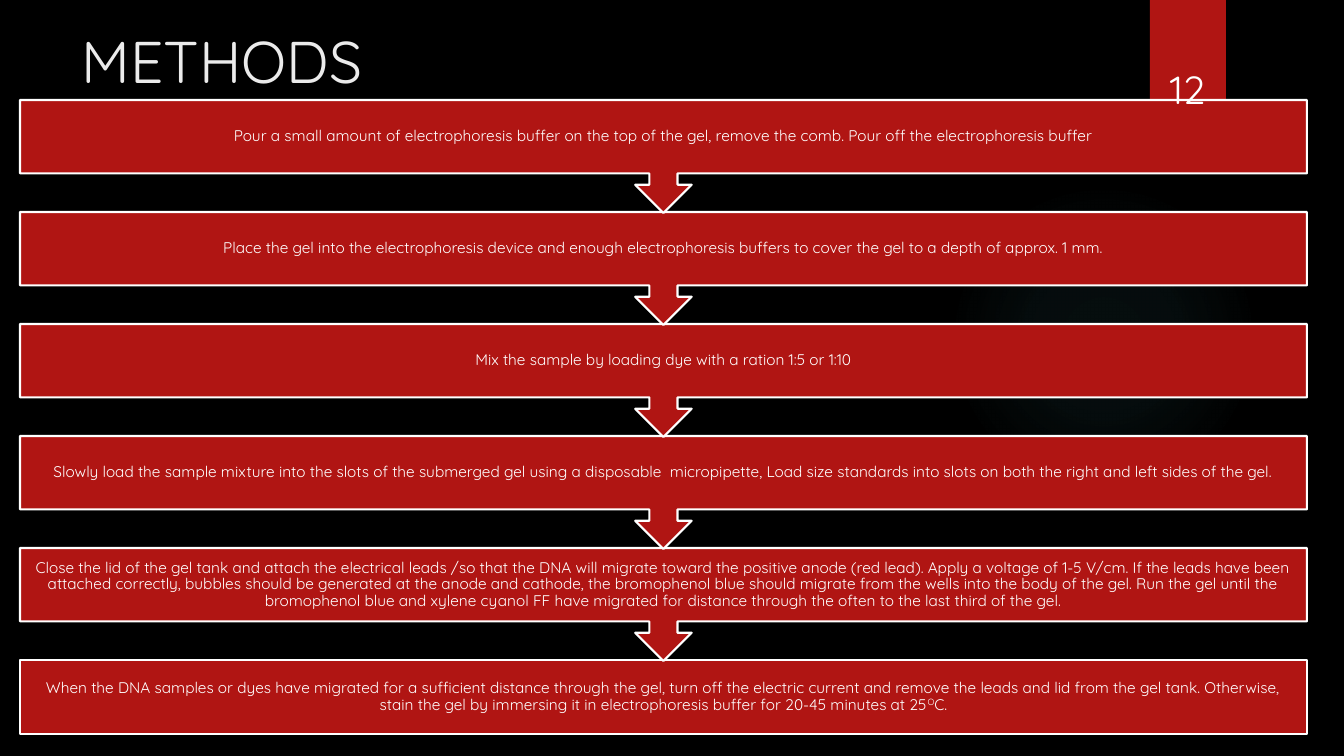
from pptx import Presentation
from pptx.dml.color import RGBColor
from pptx.enum.shapes import MSO_SHAPE
from pptx.enum.text import MSO_ANCHOR, PP_ALIGN
from pptx.oxml import parse_xml
from pptx.util import Emu, Pt

OVAL, RECT, CALLOUT = MSO_SHAPE.OVAL, MSO_SHAPE.RECTANGLE, MSO_SHAPE.DOWN_ARROW_CALLOUT
TOP, MIDDLE, BOTTOM = MSO_ANCHOR.TOP, MSO_ANCHOR.MIDDLE, MSO_ANCHOR.BOTTOM
LEFT, CENTER = PP_ALIGN.LEFT, PP_ALIGN.CENTER

BLACK = RGBColor(0x00, 0x00, 0x00)
RED = RGBColor(0xB0, 0x15, 0x13)
WHITE = RGBColor(0xFF, 0xFF, 0xFF)
PALE = RGBColor(0xEB, 0xEB, 0xEB)
GLOW = RGBColor(0x50, 0xB9, 0xC1)
FONT = "Quicksand"
EMU_PER_PX = 914400 / 100.8

STEPS = [
    ["Pour a small amount of electrophoresis buffer on the top of the gel, remove the comb. "
     "Pour off the electrophoresis buffer"],
    ["Place the gel into the electrophoresis device and enough electrophoresis buffers "
     "to cover the gel to a depth of approx. 1 mm."],
    ["Mix the sample by loading dye with a ration 1:5 or 1:10"],
    ["Slowly load the sample mixture into the slots of the submerged gel using a disposable  "
     "micropipette, Load size standards into slots on both the right and left sides of the gel."],
    ["Close the lid of the gel tank and attach the electrical leads /so that the DNA will migrate "
     "toward the positive anode (red lead). Apply a voltage of 1-5 V/cm. If the leads have been "
     "attached correctly, bubbles should be generated at the anode and cathode, the bromophenol "
     "blue should migrate from the wells into the body of the gel. Run the gel until the "
     "bromophenol blue and xylene cyanol FF have migrated for distance through the often to the "
     "last third of the gel."],
    ["When the DNA samples or dyes have migrated for a sufficient distance through the gel, turn "
     "off the electric current and remove the leads and lid from the gel tank. Otherwise, stain "
     "the gel by immersing it in electrophoresis buffer for 20-45 minutes at 25", "O", "C."],
]


def px(length):
    return Emu(round(length * EMU_PER_PX))


def add_block(slide, kind, box, fill=None, line=None):
    block = slide.shapes.add_shape(kind, *map(px, box))
    block.shadow.inherit = False
    if fill is not None:
        block.fill.solid()
        block.fill.fore_color.rgb = fill
    if line is None:
        block.line.fill.background()
    else:
        block.line.color.rgb = line
        block.line.width = Pt(1.5)
    return block


def write(frame, pieces, size, color, align, anchor):
    frame.word_wrap = True
    frame.vertical_anchor = anchor
    paragraph = frame.paragraphs[0]
    paragraph.alignment = align
    for index, piece in enumerate(pieces):
        run = paragraph.add_run()
        run.text = piece
        run.font.name = FONT
        run.font.size = Pt(size)
        run.font.color.rgb = color
        if index % 2:
            run.font._element.set("baseline", "30000")
    return paragraph


def add_label(slide, box, text, size, color, align, anchor):
    label = slide.shapes.add_textbox(*map(px, box))
    write(label.text_frame, [text], size, color, align, anchor)


def add_glow(slide, box):
    glow = add_block(slide, OVAL, box)
    stops = "".join(
        f'<a:gs pos="{position * 1000}"><a:srgbClr val="{GLOW}">'
        f'<a:alpha val="{alpha * 1000}"/></a:srgbClr></a:gs>'
        for position, alpha in [(0, 7), (36, 6), (69, 0)])
    gradient = parse_xml(
        '<a:gradFill xmlns:a="http://schemas.openxmlformats.org/drawingml/2006/main">'
        f'<a:gsLst>{stops}</a:gsLst><a:path path="circle">'
        '<a:fillToRect l="50000" t="50000" r="50000" b="50000"/></a:path></a:gradFill>')
    glow._element.spPr.insert(2, gradient)


def add_steps(slide, box):
    left, top, width, height = box
    panel_height = 74
    pitch = (height - panel_height) / (len(STEPS) - 1)
    last = len(STEPS) - 1
    for index in range(last, -1, -1):
        kind, step_height = (RECT, panel_height) if index == last else (CALLOUT, pitch + 1)
        step = add_block(slide, kind, (left, top + index * pitch, width, step_height), RED, WHITE)
        frame = step.text_frame
        frame.margin_left = frame.margin_right = px(9)
        frame.margin_top = frame.margin_bottom = px(9)
        write(frame, STEPS[index], 11, WHITE, CENTER, MIDDLE).line_spacing = 0.9


def build_methods(slide):
    slide.background.fill.solid()
    slide.background.fill.fore_color.rgb = BLACK
    add_glow(slide, (949, 184, 310, 310))
    add_block(slide, RECT, (1150, 0, 76, 126), RED)
    add_label(slide, (72, 20, 1037, 80), "METHODS", 42, PALE, LEFT, TOP)
    add_steps(slide, (20, 100, 1287, 634))
    add_label(slide, (1141, 32, 93, 85), "12", 28, WHITE, CENTER, BOTTOM)


def main():
    deck = Presentation()
    deck.slide_width, deck.slide_height = px(1344), px(756)
    build_methods(deck.slides.add_slide(deck.slide_layouts[6]))
    deck.save("out.pptx")


if __name__ == "__main__":
    main()
